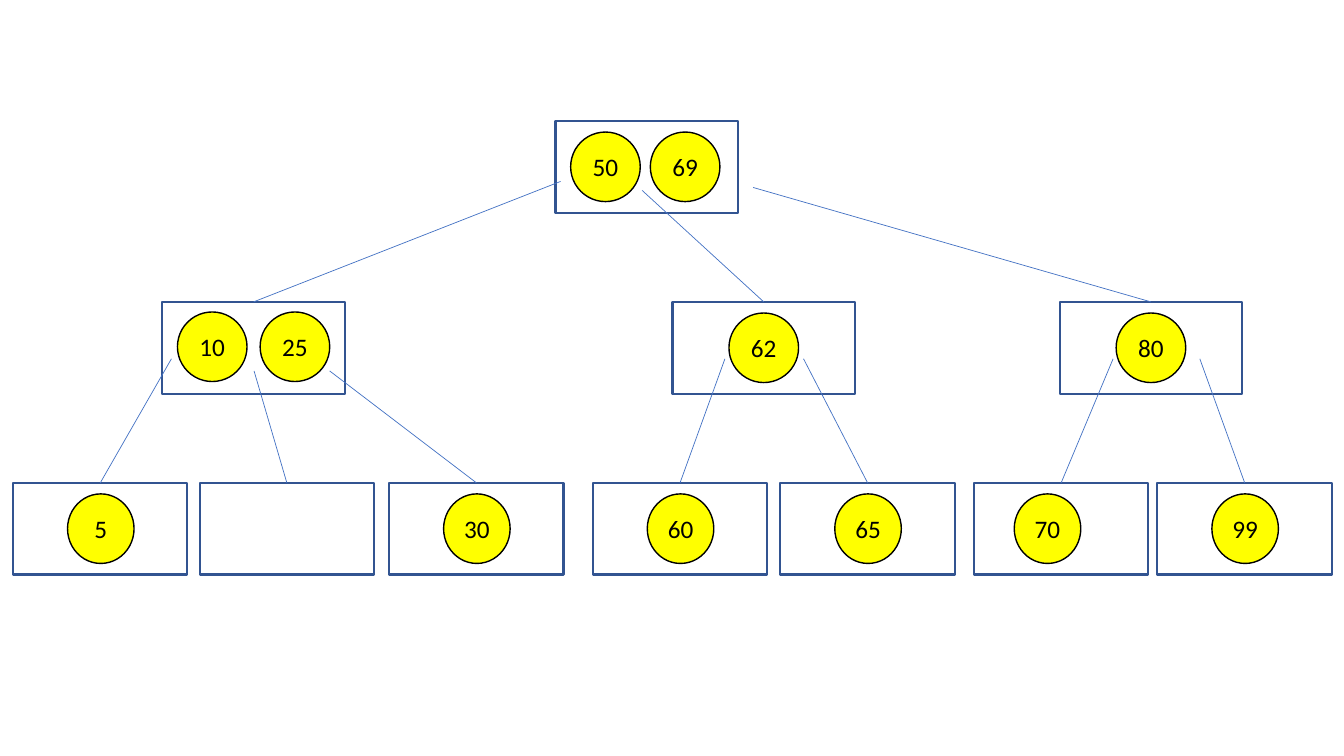
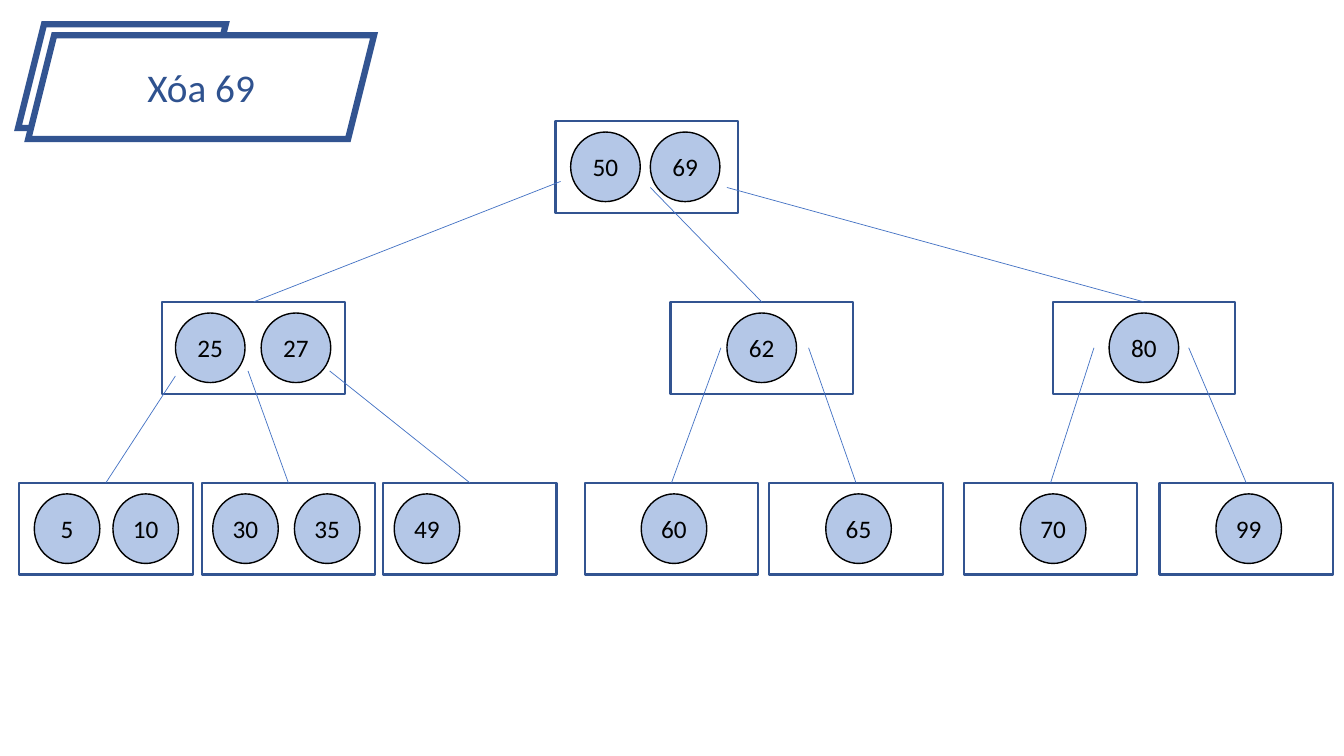
from lxml.etree import SubElement
from pptx import Presentation
from pptx.dml.color import RGBColor
from pptx.enum.shapes import MSO_CONNECTOR as CONN, MSO_SHAPE as SHAPE
from pptx.enum.text import MSO_ANCHOR as ANCHOR, MSO_AUTO_SIZE as FIT, PP_ALIGN as ALIGN
from pptx.oxml.ns import qn
from pptx.util import Inches as In, Pt

W, H = 13.33, 7.5
NAVY, BLUE, BLACK, WHITE = "325491", "4472C4", "000000", "FFFFFF"
FIRST_ROW, LAST_ROW = 1.2, 4.79
ROW_STEP = (LAST_ROW - FIRST_ROW) / 2
NODE_H, KEY_H, KEY_DROP = 0.91, 0.69, 0.11
INNER_W, INNER_KEY_W, INNER_PAD = 1.81, 0.69, 0.56
TITLE_BOX = (0.28, 0.35, 3.43, 1.03)
TITLE_TABS = [(0.18, 0.24, 2.06, 1.03), TITLE_BOX]


def rgb(value):
    return RGBColor.from_string(value)


def write(sp, text, size=18, color=BLACK, font="Calibri"):
    tf = sp.text_frame
    tf.auto_size = FIT.NONE
    tf.word_wrap = True
    tf.vertical_anchor = ANCHOR.MIDDLE
    tf.margin_left = tf.margin_right = tf.margin_top = tf.margin_bottom = 0
    p = tf.paragraphs[0]
    p.alignment = ALIGN.CENTER
    r = p.add_run()
    r.text = text
    r.font.size = Pt(size)
    r.font.name = font
    r.font.color.rgb = rgb(color)


ROOT = dict(x=5.51, keys={"50": 0.15, "69": 0.94})

TREES = [
    dict(
        title=None, fill="FFFF00", leaf_w=1.73, leaf_key_w=0.66, leaf_pad=0.54,
        levels=[
            [dict(ROOT, links=[(5.56, 1.8), (6.37, 1.89), (7.47, 1.86)])],
            [
                dict(x=1.61, keys={"10": 0.15, "25": 0.97}, drop=0.1,
                     links=[(1.7, 3.56), (2.52, 3.68), (3.27, 3.68)]),
                dict(x=6.67, keys={"62": None}, links=[(7.19, 3.56), (7.97, 3.56)]),
                dict(x=10.51, keys={"80": None}, links=[(11.04, 3.56), (11.9, 3.56)]),
            ],
            [
                dict(x=0.13, keys={"5": None}),
                dict(x=1.98, keys={}),
                dict(x=3.86, keys={"30": None}),
                dict(x=5.88, keys={"60": None}),
                dict(x=7.74, keys={"65": None}),
                dict(x=9.66, keys={"70": 0.4}),
                dict(x=11.48, keys={"99": None}),
            ],
        ],
    ),
    dict(
        title="Xóa 69", fill="B4C7E7", leaf_w=1.72, leaf_key_w=0.65, leaf_pad=0.56,
        levels=[
            [dict(ROOT, links=[(5.56, 1.8), (6.45, 1.86), (7.21, 1.86)])],
            [
                dict(x=1.61, keys={"25": 0.13, "27": 0.98},
                     links=[(1.74, 3.73), (2.46, 3.68), (3.27, 3.68)]),
                dict(x=6.65, keys={"62": None}, links=[(7.15, 3.45), (8.02, 3.45)]),
                dict(x=10.44, keys={"80": None}, links=[(10.85, 3.45), (11.79, 3.45)]),
            ],
            [
                dict(x=0.19, keys={"5": 0.15, "10": 0.93}),
                dict(x=2, keys={"30": 0.11, "35": 0.92}),
                dict(x=3.8, keys={"49": 0.11}),
                dict(x=5.8, keys={"60": None}),
                dict(x=7.63, keys={"65": None}),
                dict(x=9.56, keys={"70": None}),
                dict(x=11.5, keys={"99": None}),
            ],
        ],
    ),
]

prs = Presentation()
prs.slide_width, prs.slide_height = In(W), In(H)
TITLE_ONLY, BLANK = prs.slide_layouts[5], prs.slide_layouts[6]

for tree in TREES:
    s = prs.slides.add_slide(TITLE_ONLY if tree["title"] else BLANK)
    starts = []
    for row, nodes in enumerate(tree["levels"]):
        top = FIRST_ROW + row * ROW_STEP
        node_w, key_w, pad = INNER_W, INNER_KEY_W, INNER_PAD
        if row == 2:
            node_w, key_w, pad = tree["leaf_w"], tree["leaf_key_w"], tree["leaf_pad"]

        for node in nodes:
            sp = s.shapes.add_shape(SHAPE.RECTANGLE, In(node["x"]), In(top), In(node_w), In(NODE_H))
            sp.shadow.inherit = False
            sp.fill.background()
            sp.line.color.rgb = rgb(NAVY)
            sp.line.width = Pt(1.5)
            for key, dx in node["keys"].items():
                left = node["x"] + (pad if dx is None else dx)
                drop = node.get("drop", KEY_DROP)
                sp = s.shapes.add_shape(SHAPE.OVAL, In(left), In(top + drop), In(key_w), In(KEY_H))
                sp.shadow.inherit = False
                sp.fill.solid()
                sp.fill.fore_color.rgb = rgb(tree["fill"])
                sp.line.color.rgb = rgb(BLACK)
                sp.line.width = Pt(1)
                write(sp, key)

        for (x, y), child in zip(starts, nodes):
            link = s.shapes.add_connector(
                CONN.STRAIGHT, In(x), In(y), In(child["x"] + node_w / 2), In(top))
            link.line.color.rgb = rgb(BLUE)
            link.line.width = Pt(0.5)
            SubElement(link._element.spPr, qn("a:effectLst"))
        starts = [start for node in nodes for start in node.get("links", [])]

    if tree["title"]:
        for box in TITLE_TABS:
            sp = s.shapes.add_shape(SHAPE.PARALLELOGRAM, *map(In, box))
            sp.shadow.inherit = False
            sp.fill.solid()
            sp.fill.fore_color.rgb = rgb(WHITE)
            sp.line.color.rgb = rgb(NAVY)
            sp.line.width = Pt(4.5)
            SubElement(sp.line._get_or_add_ln(), qn("a:miter"), lim="800000")
        title = s.shapes.title
        title.left, title.top, title.width, title.height = map(In, TITLE_BOX)
        s.shapes._spTree.append(title._element)
        write(title, tree["title"], size=28, color="2F528F")

prs.save("out.pptx")
